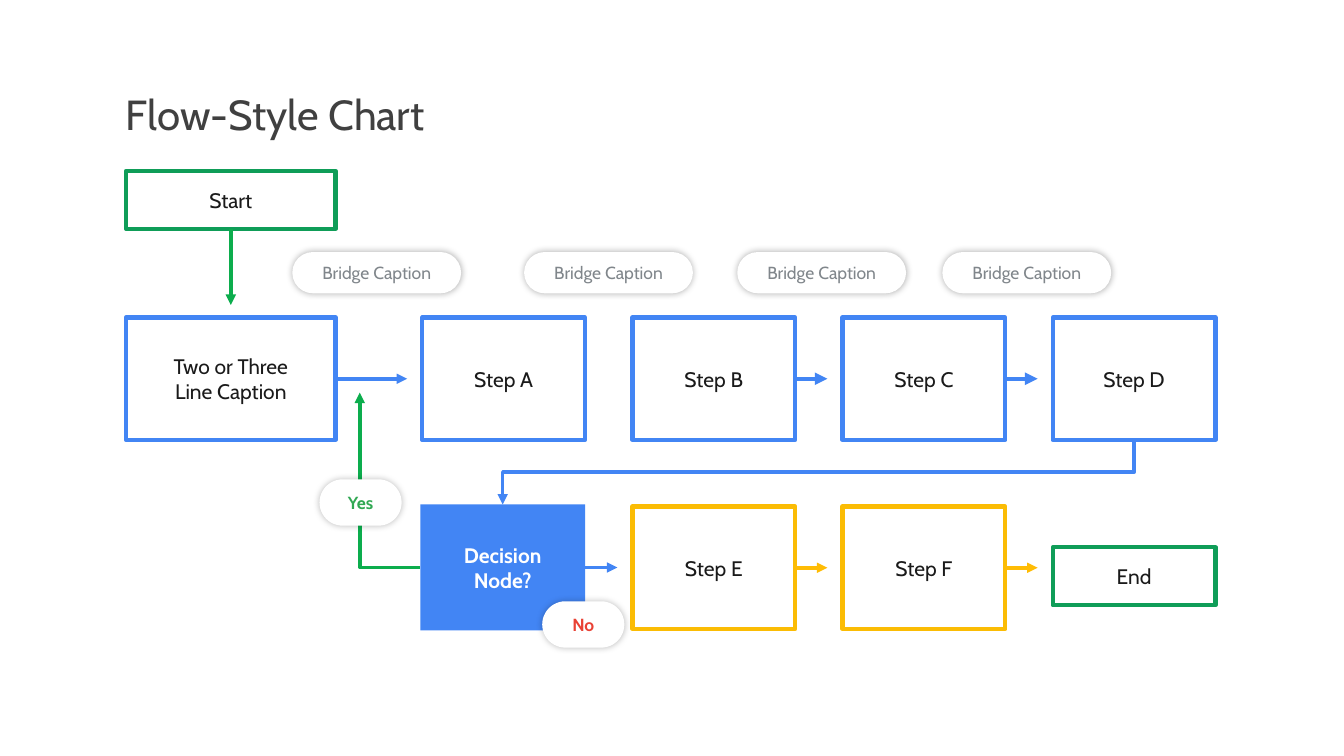
import pptx
import pptx.util
import pptx.dml.color
import pptx.enum.shapes
import pptx.enum.text
import pptx.oxml
import pptx.oxml.ns
import pptx.oxml.xmlchemy

Inches, Pt = pptx.util.Inches, pptx.util.Pt
RGBColor = pptx.dml.color.RGBColor
SHAPE = pptx.enum.shapes.MSO_SHAPE
CONNECTOR = pptx.enum.shapes.MSO_CONNECTOR
ANCHOR = pptx.enum.text.MSO_ANCHOR
ALIGN = pptx.enum.text.PP_ALIGN
OxmlElement = pptx.oxml.xmlchemy.OxmlElement
qn = pptx.oxml.ns.qn

WHITE = RGBColor(0xFF, 0xFF, 0xFF)
TITLE_GREY = RGBColor(0x40, 0x40, 0x40)
INK = RGBColor(0x1A, 0x1A, 0x1A)
CAPTION_GREY = RGBColor(0x80, 0x86, 0x8B)
BLUE = RGBColor(0x42, 0x85, 0xF4)
YELLOW = RGBColor(0xFB, 0xBC, 0x04)
ARROW_YELLOW = RGBColor(0xFF, 0xBC, 0x04)
GREEN = RGBColor(0x0F, 0x9D, 0x58)
ARROW_GREEN = RGBColor(0x0C, 0xAD, 0x4D)
YES_GREEN = RGBColor(0x31, 0xA8, 0x53)
NO_RED = RGBColor(0xE9, 0x42, 0x35)

FONT = "Cabin"
LEFT = 2.5
STEP_LEFT, STEP_PITCH, STEP_WIDTH, STEP_HEIGHT = 8.38, 4.17, 3.23, 2.43
TIP_GAP = Inches(0.3)
END_HEIGHT = 1.15


def write(shape, text, size, color, bold=False, align=ALIGN.CENTER, anchor=ANCHOR.MIDDLE):
    """Fill a shape with text set in one style."""
    tf = shape.text_frame
    tf.word_wrap = True
    tf.margin_left = tf.margin_top = tf.margin_right = tf.margin_bottom = 0
    tf.vertical_anchor = anchor
    tf.text = text
    p = tf.paragraphs[0]
    p.alignment = align
    p.font.name, p.font.size, p.font.bold = FONT, Pt(size), bold
    p.font.color.rgb = color


def add_node(s, x, y, w, h, text, color, filled=False):
    """Add a flow box, outlined or filled with its colour."""
    sp = s.shapes.add_shape(SHAPE.RECTANGLE, Inches(x), Inches(y), Inches(w), Inches(h))
    sp.shadow.inherit = False
    sp.fill.solid()
    sp.fill.fore_color.rgb = color if filled else WHITE
    if filled:
        sp.line.fill.background()
    else:
        sp.line.color.rgb = color
        sp.line.width = Pt(6)
    write(sp, text, 30, WHITE if filled else INK, bold=filled)
    return sp


def add_pill(s, x, y, w, h, text, color, bold=False, opacity=30):
    """Add a rounded white label with a soft shadow."""
    sp = s.shapes.add_shape(SHAPE.ROUNDED_RECTANGLE, Inches(x), Inches(y), Inches(w), Inches(h))
    sp.adjustments[0] = 0.5
    sp.fill.solid()
    sp.fill.fore_color.rgb = WHITE
    sp.line.fill.background()
    sp.shadow.inherit = False
    effects = sp._element.spPr.find(qn("a:effectLst"))
    effects.append(pptx.oxml.parse_xml(
        f'<a:outerShdw {pptx.oxml.ns.nsdecls("a")} blurRad="{Pt(10)}" dist="0" dir="0" '
        f'algn="ctr" rotWithShape="0"><a:srgbClr val="000000">'
        f'<a:alpha val="{opacity * 1000}"/></a:srgbClr></a:outerShdw>'))
    write(sp, text, 25, color, bold)


def style_line(shape, color, width, end="tailEnd"):
    """Colour a line, drop its shadow and give it an arrowhead."""
    shape.line.color.rgb = color
    shape.line.width = Pt(width)
    spPr = shape._element.spPr
    if spPr.find(qn("a:effectLst")) is None:
        spPr.append(OxmlElement("a:effectLst"))
    head = OxmlElement(f"a:{end}")
    head.set("type", "triangle")
    spPr.find(qn("a:ln")).append(head)


def arrow_right(s, node, target, color, width):
    """Run an arrow from a node's right side to just before its target."""
    x, y = node.left + node.width, node.top + node.height // 2
    c = s.shapes.add_connector(CONNECTOR.STRAIGHT, x, y, target.left - TIP_GAP, y)
    c.begin_connect(node, 3)
    style_line(c, color, width)


def arrow_down(s, node, target):
    """Run an arrow from a node's bottom to just above its target."""
    x, y = node.left + node.width // 2, node.top + node.height
    c = s.shapes.add_connector(CONNECTOR.STRAIGHT, x, y, x, target.top - Inches(0.25))
    c.begin_connect(node, 2)
    style_line(c, ARROW_GREEN, 5)


def wrap_arrow(s, node, target):
    """Bend an arrow from a node's bottom back to the top of a lower node."""
    x1, y1 = node.left + node.width // 2, node.top + node.height
    x2, y2 = target.left + target.width // 2, target.top
    c = s.shapes.add_connector(CONNECTOR.ELBOW, x1, y1, x2, y2)
    c.begin_connect(node, 2)
    c.end_connect(target, 0)
    w, h = y2 - y1, x1 - x2
    c.left, c.top = (x1 + x2 - w) // 2, (y1 + y2 - h) // 2
    c.width, c.height = w, h
    xfrm = c._element.spPr.find(qn("a:xfrm"))
    xfrm.set("rot", "5400000")
    xfrm.set("flipH", "0")
    style_line(c, BLUE, 5)


def add_title(s, x, y, w, h):
    """Add the slide title."""
    box = s.shapes.add_textbox(Inches(x), Inches(y), Inches(w), Inches(h))
    write(box, "Flow-Style Chart", 60, TITLE_GREY, align=ALIGN.LEFT, anchor=ANCHOR.BOTTOM)


def add_main_row(s, x, y, w, h):
    """Add the start, the first caption and steps A to D; return step D."""
    start = add_node(s, x, y - 2.91, w, END_HEIGHT, "Start", GREEN)
    first = add_node(s, x, y, w, h, "Two or Three\vLine Caption", BLUE)
    a, b, c, d = [add_node(s, STEP_LEFT + i * STEP_PITCH, y, STEP_WIDTH, h, f"Step {name}", BLUE)
                  for i, name in enumerate("ABCD")]
    arrow_down(s, start, first)
    arrow_right(s, first, a, BLUE, 5)
    arrow_right(s, b, c, BLUE, 6)
    arrow_right(s, c, d, BLUE, 6)
    return d


def add_decision_row(s, x, y, w, h):
    """Add the decision, steps E and F and the end; return the decision."""
    decision = add_node(s, x, y, w, 2.5, "Decision\vNode?", BLUE, filled=True)
    e, f = [add_node(s, STEP_LEFT + i * STEP_PITCH, y + 0.04, STEP_WIDTH, h, f"Step {name}", YELLOW)
            for i, name in enumerate("EF", 1)]
    end = add_node(s, STEP_LEFT + 3 * STEP_PITCH, y + 0.85, STEP_WIDTH, END_HEIGHT, "End", GREEN)
    arrow_right(s, decision, e, BLUE, 5)
    arrow_right(s, e, f, ARROW_YELLOW, 5)
    arrow_right(s, f, end, ARROW_YELLOW, 5)
    return decision


def add_answers(s, x, y, w, h):
    """Add the Yes loop and both answer labels relative to the loop's box."""
    builder = s.shapes.build_freeform(Inches(x), Inches(y))
    builder.add_line_segments([(Inches(x), Inches(y + h)), (Inches(x + w), Inches(y + h))], close=False)
    loop = builder.convert_to_shape()
    loop.fill.background()
    loop.shadow.inherit = False
    style_line(loop, ARROW_GREEN, 5, "headEnd")
    for dx, dy, text, color in ((-0.8, 1.72, "Yes", YES_GREEN), (3.62, 4.14, "No", NO_RED)):
        add_pill(s, x + dx, y + dy, 1.63, 0.92, text, color, bold=True, opacity=25)


def add_bridges(s, x, y, w, h):
    """Add the bridge captions above the main row."""
    for dx in (0, 4.6, 8.83, 12.9):
        add_pill(s, x + dx, y, w, h, "Bridge Caption", CAPTION_GREY)


def main():
    """Build and save the flow chart slide."""
    prs = pptx.Presentation()
    prs.slide_width, prs.slide_height = Inches(26.67), Inches(15)
    s = prs.slides.add_slide(prs.slide_layouts[6])
    add_title(s, LEFT, 1.7, 6.27, 1.06)
    step_d = add_main_row(s, LEFT, 6.3, 4.16, STEP_HEIGHT)
    decision = add_decision_row(s, 8.34, 10.01, 3.27, STEP_HEIGHT)
    wrap_arrow(s, step_d, decision)
    add_answers(s, 7.14, 7.79, 1.2, 3.47)
    add_bridges(s, 5.8, 5, 3.35, 0.82)
    prs.save("out.pptx")


if __name__ == "__main__":
    main()
